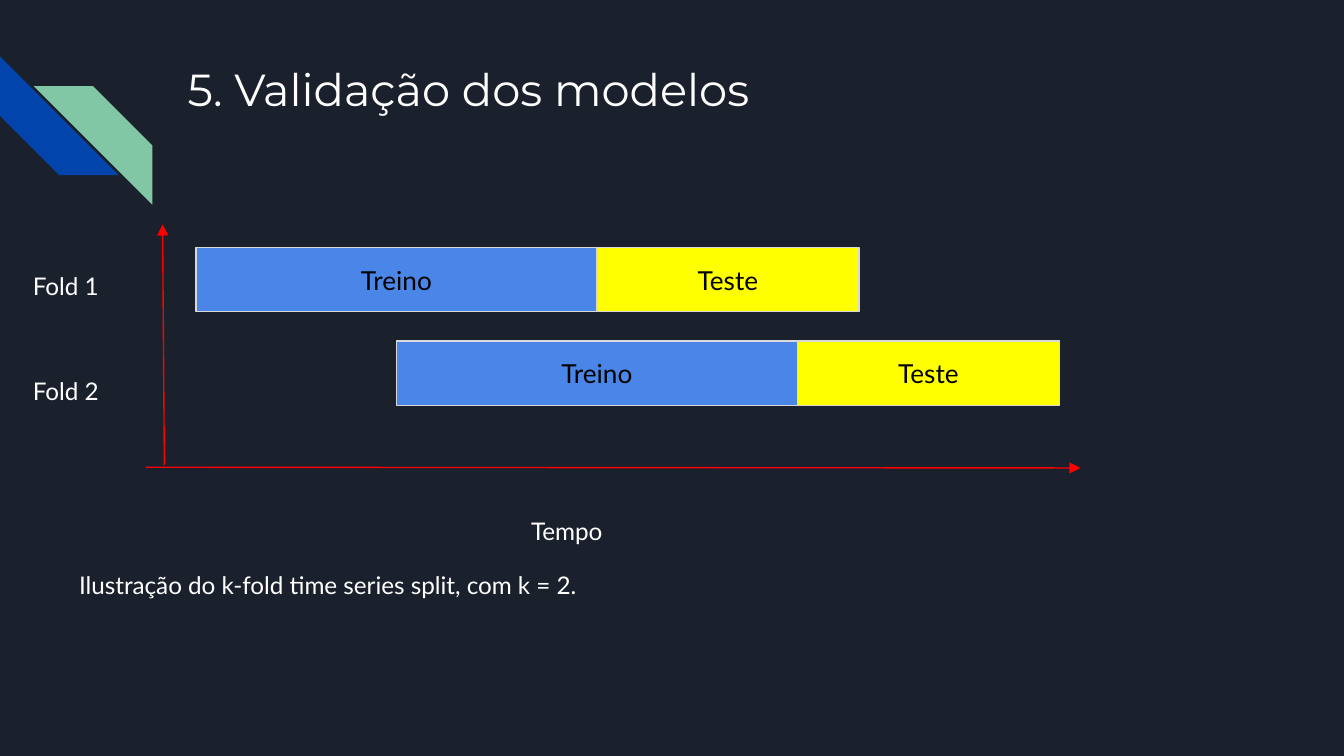
"""Builds a slide on time series cross-validation with two folds."""
from dataclasses import dataclass

from lxml.etree import SubElement
from pptx import Presentation
from pptx.dml.color import RGBColor
from pptx.enum.shapes import MSO_CONNECTOR, MSO_SHAPE
from pptx.enum.text import MSO_ANCHOR, MSO_AUTO_SIZE, PP_ALIGN
from pptx.oxml.ns import qn
from pptx.util import Emu, Inches, Pt

COLS, ROWS = 100, 56.25
CELL = Inches(0.1)


@dataclass(frozen=True)
class Theme:
    background: str = "1B212C"
    text: str = "FFFFFF"
    bar_text: str = "000000"
    train: str = "4A86E8"
    test: str = "FFFF00"
    border: str = "D9D9D9"
    axis: str = "FF0000"
    blue: str = "0145AC"
    green: str = "82C7A5"
    title_font: str = "Montserrat"
    body_font: str = "Lato"
    title_size: float = 24
    bar_size: float = 14
    label_size: float = 13
    line_width: float = 0.75


@dataclass(frozen=True)
class Box:
    col: float
    row: float
    cols: float
    rows: float

    def emu(self) -> list[Emu]:
        return [grid(n) for n in (self.col, self.row, self.cols, self.rows)]


@dataclass(frozen=True)
class Segment:
    text: str
    color: str
    cols: float


THEME = Theme()
HALF_TRAIN = 14.92
SEGMENTS = (Segment("Treino", THEME.train, 2 * HALF_TRAIN),
            Segment("Teste", THEME.test, 19.5))


def grid(n: float) -> Emu:
    return Emu(round(n * CELL))


def rgb(color: str) -> RGBColor:
    return RGBColor.from_string(color)


def write(tf, text: str, *, font: str = THEME.body_font,
          size: float = THEME.label_size, color: str = THEME.text,
          align=PP_ALIGN.LEFT, anchor=MSO_ANCHOR.TOP) -> None:
    tf.word_wrap = True
    tf.auto_size = MSO_AUTO_SIZE.NONE
    tf.vertical_anchor = anchor
    tf.margin_left = tf.margin_right = tf.margin_top = tf.margin_bottom = CELL
    p = tf.paragraphs[0]
    p.alignment = align
    r = p.add_run()
    r.text = text
    r.font.name, r.font.size = font, Pt(size)
    r.font.color.rgb = rgb(color)


def add_shape(s, kind, box: Box, fill: str, border: str | None = None):
    sp = s.shapes.add_shape(kind, *box.emu())
    sp.shadow.inherit = False
    sp.fill.solid()
    sp.fill.fore_color.rgb = rgb(fill)
    if border:
        sp.line.color.rgb = rgb(border)
        sp.line.width = Pt(THEME.line_width)
    else:
        sp.line.fill.background()
    return sp


def add_stripe(s, box: Box, fill: str, rotation: float) -> None:
    sp = add_shape(s, MSO_SHAPE.DIAGONAL_STRIPE, box, fill)
    sp.adjustments[0] = 0.5
    sp.rotation = rotation


def add_label(s, text: str, box: Box) -> None:
    write(s.shapes.add_textbox(*box.emu()).text_frame, text)


def add_fold(s, index: int) -> None:
    col, row = 14.57 + index * HALF_TRAIN, 18.4 + index * 6.97
    for seg in SEGMENTS:
        sp = add_shape(s, MSO_SHAPE.RECTANGLE, Box(col, row, seg.cols, 4.8),
                       seg.color, THEME.border)
        write(sp.text_frame, seg.text, size=THEME.bar_size,
              color=THEME.bar_text, align=PP_ALIGN.CENTER,
              anchor=MSO_ANCHOR.MIDDLE)
        col += seg.cols
    add_label(s, f"Fold {index + 1}", Box(1.46, 19.2 + index * 7.8, 10, 3.2))


def add_axis(s, start: tuple[float, float], end: tuple[float, float]) -> None:
    cxn = s.shapes.add_connector(MSO_CONNECTOR.STRAIGHT,
                                 *(grid(n) for n in start + end))
    cxn.line.color.rgb = rgb(THEME.axis)
    cxn.line.width = Pt(THEME.line_width)
    SubElement(cxn.line._get_or_add_ln(), qn("a:tailEnd"), type="triangle")
    SubElement(cxn._element.spPr, qn("a:effectLst"))


def main() -> None:
    prs = Presentation()
    prs.slide_width, prs.slide_height = grid(COLS), grid(ROWS)
    s = prs.slides.add_slide(prs.slide_layouts.get_by_name("Title Only"))
    s.background.fill.solid()
    s.background.fill.fore_color.rgb = rgb(THEME.background)

    add_stripe(s, Box(0, 4.2, 8.83, 8.83), THEME.blue, 270)
    add_stripe(s, Box(2.5, 6.4, 8.83, 8.83), THEME.green, 90)

    title = s.shapes.title
    title.left, title.top, title.width, title.height = Box(12.97, 3.6, 77, 10).emu()
    write(title.text_frame, "5. Validação dos modelos",
          font=THEME.title_font, size=THEME.title_size)

    for index in range(2):
        add_fold(s, index)
    add_axis(s, (12.23, 34.6), (12.1, 16.7))
    add_axis(s, (10.84, 34.77), (80.4, 34.82))
    add_label(s, "Tempo", Box(38.53, 37.4, 10, 3.2))
    add_label(s, "Ilustração do k-fold time series split, com k = 2.",
              Box(4.9, 41.45, 73, 6.8))
    prs.save("out.pptx")


if __name__ == "__main__":
    main()
